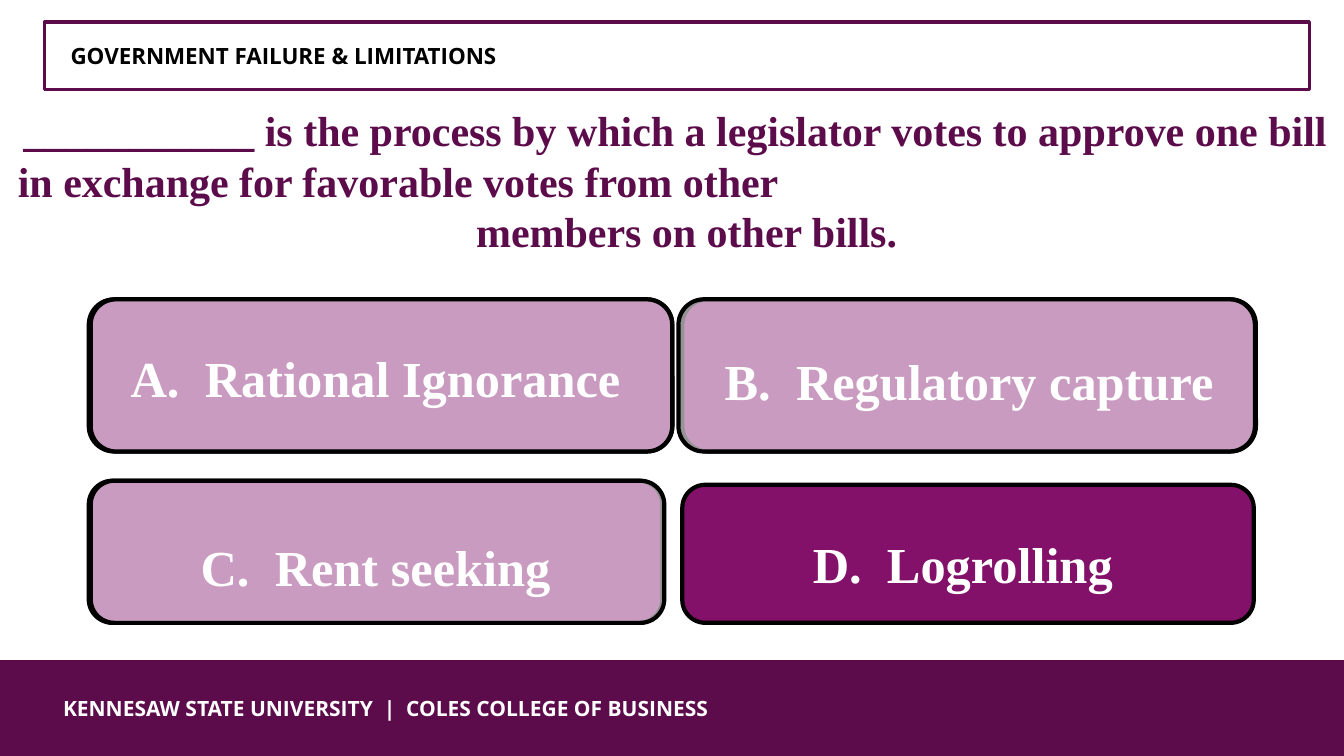
import pptx
import pptx.util
import pptx.dml.color
import pptx.enum.shapes
import pptx.enum.text
import pptx.oxml.ns
import lxml.etree

Pt = pptx.util.Pt
SHAPES = pptx.enum.shapes.MSO_SHAPE
ALIGN = pptx.enum.text.PP_ALIGN
MIDDLE = pptx.enum.text.MSO_ANCHOR.MIDDLE
PLUM, MAGENTA, BLACK, WHITE = "5C0C4B", "83116A", "000000", "FFFFFF"


def paint(color_format, hex_color):
    color_format.rgb = pptx.dml.color.RGBColor.from_string(hex_color)


def add_box(kind, bounds, fill, line, line_width):
    box = slide.shapes.add_shape(kind, *map(Pt, bounds))
    box.shadow.inherit = False
    if fill:
        box.fill.solid()
        paint(box.fill.fore_color, fill)
    else:
        box.fill.background()
    paint(box.line.color, line)
    box.line.width = Pt(line_width)
    return box


deck = pptx.Presentation()
deck.slide_width, deck.slide_height = Pt(960), Pt(540)
slide = deck.slides.add_slide(deck.slide_layouts[6])

# Question: the first part starts at the left, the ending is centred
question = slide.shapes.add_textbox(Pt(3.6), Pt(71.3), Pt(960), Pt(55.4)).text_frame
question.word_wrap = True
question_parts = [
    (ALIGN.LEFT, 2, 4, [
        ("___________", True),
        (" is the process by which a legislator votes to approve one bill "
         "in exchange for favorable votes from other", False),
    ]),
    (ALIGN.CENTER, 14, 0, [("members on other bills.", False)]),
]
for number, (alignment, margin, indent, pieces) in enumerate(question_parts):
    part = question.add_paragraph() if number else question.paragraphs[0]
    part.alignment = alignment
    properties = part._p.get_or_add_pPr()
    properties.set("marL", str(Pt(margin)))
    properties.set("indent", str(Pt(indent)))
    for words, underlined in pieces:
        piece = part.add_run()
        piece.text = words
        question_format = {"name": "Times New Roman", "size": Pt(30),
                           "bold": True, "underline": underlined}
        for attribute, value in question_format.items():
            setattr(piece.font, attribute, value)
        paint(piece.font.color, PLUM)

# Answer buttons: A, C, D, B
LEFT, RIGHT, TOP, BOTTOM, WIDTH = 63.4, 487.4, 213.8, 343.4, 409.7
TALL, SHORT = 108.7, 101.5
buttons = [
    (LEFT, TOP, 416.9, TALL),
    (LEFT, BOTTOM, WIDTH, SHORT),
    (RIGHT, 346.3, 408.2, 98.6),
    (RIGHT, TOP, WIDTH, TALL),
]
for bounds in buttons:
    add_box(SHAPES.ROUNDED_RECTANGLE, bounds, MAGENTA, BLACK, 3)

# Answer labels
answers = [
    ("A.  Rational Ignorance", LEFT, 236.2),
    ("C.  Rent seeking", LEFT, 370.8),
    ("B.  Regulatory capture", RIGHT, 238.3),
    ("D.  Logrolling ", RIGHT, 368.6),
]
for wording, left, top in answers:
    answer = slide.shapes.add_textbox(Pt(left), Pt(top), Pt(WIDTH), Pt(67)).text_frame
    answer_frame = {"word_wrap": True, "vertical_anchor": MIDDLE,
                    "margin_left": Pt(9.4), "margin_right": Pt(9.4),
                    "margin_top": Pt(9.4), "margin_bottom": Pt(9.4)}
    for attribute, value in answer_frame.items():
        setattr(answer, attribute, value)
    label = answer.paragraphs[0]
    label.alignment = ALIGN.CENTER
    label_run = label.add_run()
    label_run.text = wording
    for attribute, value in {"name": "Times New Roman", "size": Pt(36), "bold": True}.items():
        setattr(label_run.font, attribute, value)
    paint(label_run.font.color, WHITE)

# Translucent veils over the wrong answers: B, A, C
veils = [
    (484.6, TOP, 411.8, TALL),
    (64.8, TOP, 415.4, TALL),
    (64.8, BOTTOM, WIDTH, SHORT),
]
for bounds in veils:
    veil = add_box(SHAPES.ROUNDED_RECTANGLE, bounds, WHITE, BLACK, 3)
    veil_color = veil._element.spPr.find(
        pptx.oxml.ns.qn("a:solidFill")).find(pptx.oxml.ns.qn("a:srgbClr"))
    lxml.etree.SubElement(veil_color, pptx.oxml.ns.qn("a:alpha")).set("val", "58000")

# Topic header and school footer
banners = [
    ("GOVERNMENT FAILURE & LIMITATIONS", (31.7, 15.8, 903.6, 48.2),
     None, 2.25, 18.7, 16, BLACK),
    ("KENNESAW STATE UNIVERSITY  |  COLES COLLEGE OF BUSINESS", (0, 471.6, 960, 68.4),
     PLUM, 1, 45, 15, WHITE),
]
for wording, bounds, fill, line_width, inset, size, color in banners:
    banner = add_box(SHAPES.RECTANGLE, bounds, fill, PLUM, line_width).text_frame
    banner_frame = {"word_wrap": True, "vertical_anchor": MIDDLE, "margin_left": Pt(inset)}
    for attribute, value in banner_frame.items():
        setattr(banner, attribute, value)
    heading = banner.paragraphs[0]
    heading.alignment = ALIGN.LEFT
    heading_run = heading.add_run()
    heading_run.text = wording
    for attribute, value in {"name": "Open Sans", "size": Pt(size), "bold": True}.items():
        setattr(heading_run.font, attribute, value)
    paint(heading_run.font.color, color)

deck.save("out.pptx")
